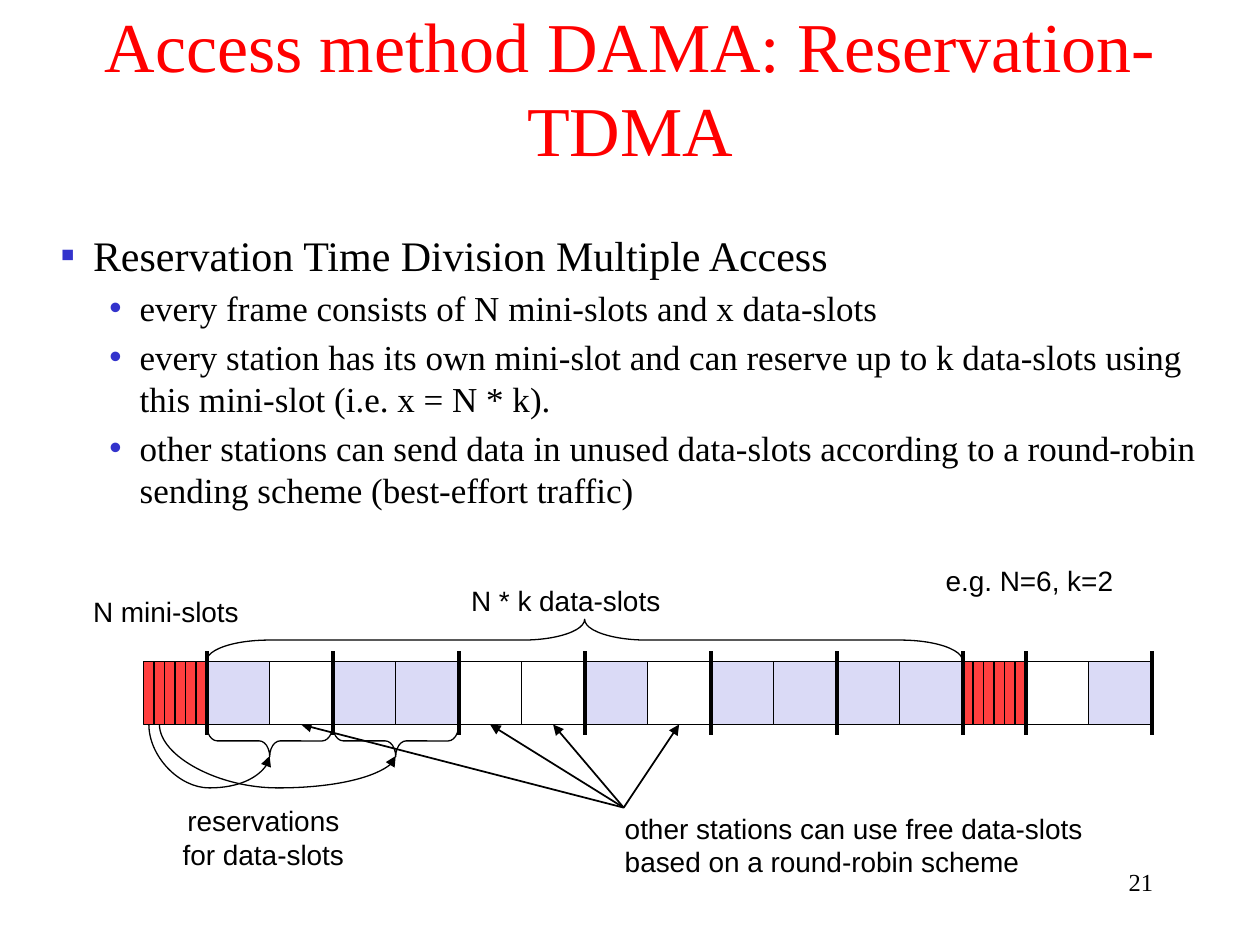
from lxml.etree import SubElement
from pptx import Presentation
from pptx.dml.color import RGBColor
from pptx.enum.shapes import MSO_CONNECTOR as Conn, MSO_SHAPE as Shape
from pptx.enum.text import MSO_ANCHOR as Anchor, MSO_AUTO_SIZE as Fit, PP_ALIGN as Align
from pptx.oxml.ns import qn
from pptx.util import Inches, Pt

BLACK = RGBColor(0x00, 0x00, 0x00)
WHITE = RGBColor(0xFF, 0xFF, 0xFF)
TITLE = RGBColor(0xFF, 0x00, 0x00)
MINI = RGBColor(0xFF, 0x3F, 0x3F)
USED = RGBColor(0xDA, 0xDA, 0xF6)
MARK = RGBColor(0x33, 0x33, 0xCC)
SERIF, SANS = "Times New Roman", "Arial"

HEAD = "Access method DAMA: Reservation-TDMA"
BODY = [
    (0, "Reservation Time Division Multiple Access"),
    (1, "every frame consists of N mini-slots and x data-slots"),
    (1, "every station has its own mini-slot and can reserve up to k data-slots "
        "using this mini-slot (i.e. x = N * k)."),
    (1, "other stations can send data in unused data-slots according to a "
        "round-robin sending scheme (best-effort traffic)"),
]
LEVELS = [("▪", 24, 0.26, -0.26), ("•", 20, 0.63, -0.24)]
LABELS = [
    ((0.64, 4.67, 1.36, 0.36), ["N mini-slots"], Align.LEFT, Anchor.TOP),
    ((3.64, 4.58, 1.71, 0.36), ["N * k data-slots"], Align.LEFT, Anchor.TOP),
    ((1.35, 6.33, 1.48, 0.63), ["reservations\nfor data-slots"], Align.CENTER, Anchor.TOP),
    ((4.86, 6.39, 3.85, 0.63), ["other stations can use free data-slots",
                                "based on a round-robin scheme"], Align.LEFT, Anchor.TOP),
    ((7.4, 4.42, 1.54, 0.37), ["e.g. N=6, k=2"], Align.CENTER, Anchor.MIDDLE),
]
FRAMES = [(1.14, "101100101111"), (7.64, "01")]
FREE = [1, 4, 5, 7]
HUB = (4.95, 6.41)
N, K = 6, 2
SLOT, TOP = 0.5, 5.25
BASE = TOP + SLOT
START = FRAMES[0][0] + SLOT

deck = Presentation()
deck.slide_width, deck.slide_height = Inches(10), Inches(7.5)
slide = deck.slides.add_slide(deck.slide_layouts[6])
shapes = slide.shapes


def write(box, lines, size, font, color=BLACK, align=Align.LEFT, anchor=Anchor.TOP, wrap=True):
    frame = shapes.add_textbox(*map(Inches, box)).text_frame
    frame.word_wrap, frame.vertical_anchor = wrap, anchor
    if not wrap:
        frame.auto_size = Fit.SHAPE_TO_FIT_TEXT
    for i, line in enumerate(lines):
        para = frame.add_paragraph() if i else frame.paragraphs[0]
        para.text, para.alignment = line, align
        for run in para.runs:
            run.font.size, run.font.name = Pt(size), font
            run.font.color.rgb = color
    return frame


def bullet(para, level):
    mark, size, left, hang = LEVELS[level]
    para.level, para.space_before = level, Pt(size * 0.2)
    for run in para.runs:
        run.font.size = Pt(size)
    props = para._p.get_or_add_pPr()
    props.set("marL", str(Inches(left)))
    props.set("indent", str(Inches(hang)))
    SubElement(SubElement(props, qn("a:buClr")), qn("a:srgbClr"), val=str(MARK))
    SubElement(props, qn("a:buFont"), typeface=SANS)
    SubElement(props, qn("a:buChar"), char=mark)


def link(kind, start, end, width, tip=None):
    line = shapes.add_connector(kind, *map(Inches, start + end))
    line.line.color.rgb, line.line.width = BLACK, Pt(width)
    if tip:
        SubElement(line.line._get_or_add_ln(), qn("a:" + tip), type="triangle")
    SubElement(line._element.spPr, qn("a:effectLst"))
    return line


def draw(kind, box, fill=None):
    shape = shapes.add_shape(kind, *map(Inches, box))
    shape.shadow.inherit = False
    shape.line.color.rgb, shape.line.width = BLACK, Pt(0.75)
    if fill is None:
        shape.fill.background()
    else:
        shape.fill.solid()
        shape.fill.fore_color.rgb = fill
    return shape


def brace(mid, y, depth, span, turn, bend):
    shape = draw(Shape.RIGHT_BRACE, (mid - depth / 2, y - span / 2, depth, span))
    shape.rotation, shape.adjustments[0] = turn, bend


def curve(x, end, rise=0.25):
    span, mid, y = end - x, (x + end) / 2, BASE + rise / 2
    left, right = mid - rise / 2, mid + rise / 2
    line = link(Conn.CURVE, (right, y - span / 2), (left, y + span / 2), 0.75, "tailEnd")
    props = line._element.spPr
    props.find(qn("a:xfrm")).set("rot", str(270 * 60000))
    guides = props.find(qn("a:prstGeom")).find(qn("a:avLst"))
    SubElement(guides, qn("a:gd"), name="adj1", fmla="val 201400")


write((7.17, 6.83, 2.08, 0.5), ["21"], 14, SERIF, align=Align.RIGHT)
write((0, 0.22, 10, 1.18), [HEAD], 40, SERIF, TITLE, Align.CENTER, Anchor.BOTTOM)
body = write((0.38, 1.77, 9.29, 2.53), [text for _, text in BODY], 20, SERIF)
for para, (level, _) in zip(body.paragraphs, BODY):
    bullet(para, level)
for box, lines, align, anchor in LABELS:
    write(box, lines, 16, SANS, BLACK, align, anchor, False)

for i in FREE:
    link(Conn.STRAIGHT, (START + SLOT * (i + 0.5), BASE), HUB, 1, "headEnd")

thin = SLOT / N
for left, slots in FRAMES:
    first = left + SLOT
    for i, flag in enumerate(slots):
        draw(Shape.RECTANGLE, (first + i * SLOT, TOP, SLOT, SLOT), USED if flag == "1" else WHITE)
    for i in range(N):
        draw(Shape.RECTANGLE, (left + i * thin, TOP, thin, SLOT), MINI)
for left, slots in FRAMES:
    for i in range(len(slots) // K + 1):
        x = left + SLOT + i * K * SLOT
        link(Conn.STRAIGHT, (x, TOP - 0.08), (x, BASE + 0.08), 2.25)
x = FRAMES[1][0]
link(Conn.STRAIGHT, (x, TOP - 0.08), (x, BASE + 0.08), 2.25)

pair = K * SLOT
for i in range(2):
    mid = START + pair * (i + 0.5)
    brace(mid, BASE + 0.13, 0.25, pair, 90, 0.333)
    curve(FRAMES[0][0] + thin * (i + 0.5), mid)
brace(START + N * pair / 2, TOP - 0.17, 0.33, N * pair, 270, 1.5)

deck.save("out.pptx")
